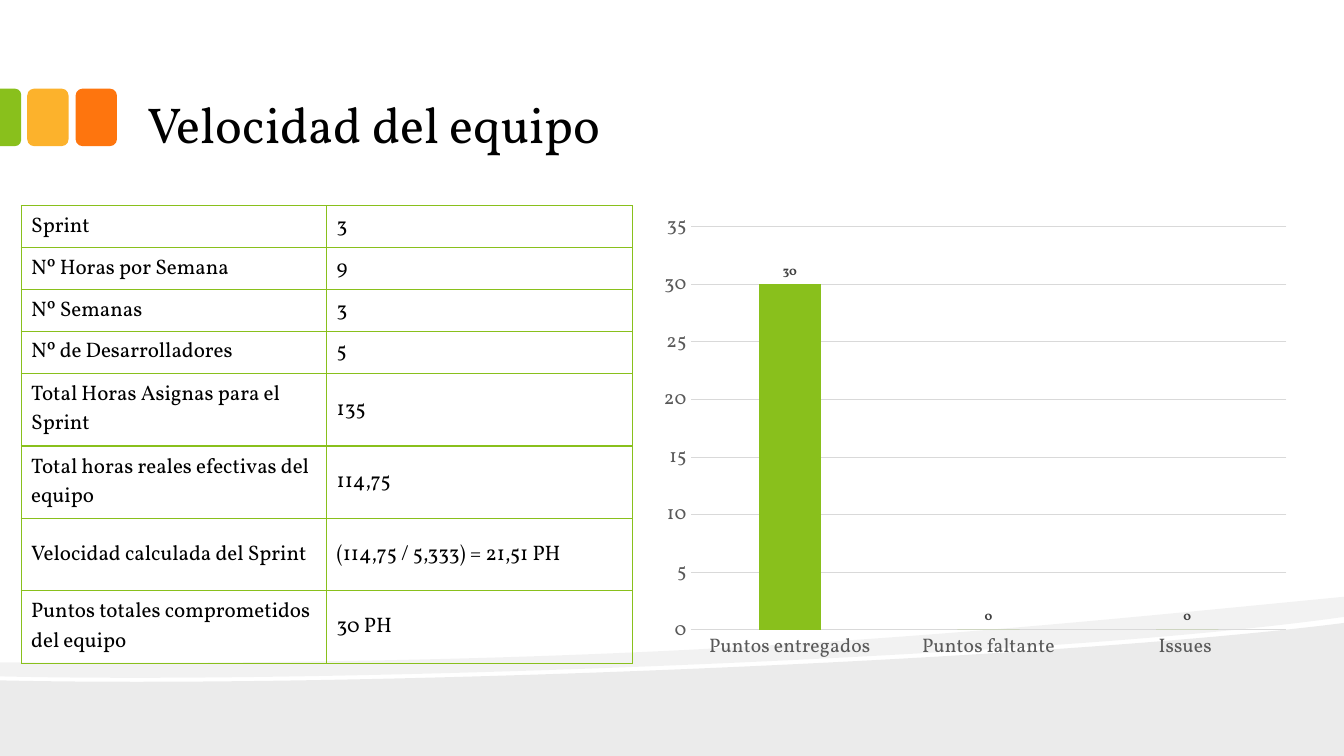
import pptx
import pptx.chart.data
import pptx.dml.color
import pptx.enum.chart
import pptx.enum.shapes
import pptx.enum.text
import pptx.oxml
import pptx.oxml.ns
import pptx.util
from lxml import etree

RGBColor = pptx.dml.color.RGBColor
Inches = pptx.util.Inches
Pt = pptx.util.Pt
Shape = pptx.enum.shapes.MSO_SHAPE
Anchor = pptx.enum.text.MSO_ANCHOR
qn = pptx.oxml.ns.qn

BLACK = RGBColor(0x00, 0x00, 0x00)
GREEN = RGBColor(0x89, 0xC0, 0x1C)
YELLOW = RGBColor(0xFC, 0xB2, 0x2C)
ORANGE = RGBColor(0xFE, 0x75, 0x0E)
AXIS_TEXT = RGBColor(0x59, 0x59, 0x59)
LABEL_TEXT = RGBColor(0x40, 0x40, 0x40)
GRID = RGBColor(0xD9, 0xD9, 0xD9)

UNITS_PER_INCH = 100
SPRINT_FACTS = [
    ("Sprint", "3"),
    ("Nº Horas por Semana", "9"),
    ("Nº Semanas", "3"),
    ("Nº de Desarrolladores", "5"),
    ("Total Horas Asignas para el Sprint", "135"),
    ("Total horas reales efectivas del equipo", "114,75"),
    ("Velocidad calculada del Sprint", "(114,75 / 5,333) = 21,51 PH"),
    ("Puntos totales comprometidos del equipo", "30 PH"),
]
SHORT_ROWS = 4
POINTS = {"Puntos entregados": 30, "Puntos faltante": 0, "Issues ": 0}


def apply(target, **values):
    for name, value in values.items():
        setattr(target, name, value)


class SlideBuilder:
    """Draws styled elements on one slide."""

    font_name = "Vollkorn"

    def __init__(self, presentation):
        self.slide = presentation.slides.add_slide(presentation.slide_layouts[6])

    def style_font(self, font, size, color, bold=False):
        apply(font, name=self.font_name, size=Pt(size), bold=bold)
        font.color.rgb = color

    def paint(self, shape, color, opacity=100):
        shape.shadow.inherit = False
        shape.fill.solid()
        shape.fill.fore_color.rgb = color
        shape.line.fill.background()
        if opacity < 100:
            tint = shape.fill._xPr.find(".//" + qn("a:srgbClr"))
            etree.SubElement(tint, qn("a:alpha"), val=str(opacity * 1000))

    def wave(self, start, segments, opacity):
        start, *segments = [
            [(round(x * UNITS_PER_INCH), round(y * UNITS_PER_INCH)) for x, y in segment]
            for segment in ([start], *segments)]
        corners = start + [segment[-1] for segment in segments]
        left, top = (min(values) for values in zip(*corners))
        outline = self.slide.shapes.build_freeform(
            *corners[0], scale=Inches(1) / UNITS_PER_INCH)
        outline.add_line_segments(corners[1:], close=True)
        shape = outline.convert_to_shape()
        for line, segment in zip(list(shape._element.iter(qn("a:lnTo"))), segments):
            if len(segment) == 3:
                curve = etree.Element(qn("a:cubicBezTo"))
                for x, y in segment:
                    etree.SubElement(curve, qn("a:pt"), x=str(x - left), y=str(y - top))
                line.getparent().replace(line, curve)
        self.paint(shape, BLACK, opacity)

    def tab(self, kind, box, color, rotation=0, adjustments=()):
        tab = self.slide.shapes.add_shape(kind, *map(Inches, box))
        tab.rotation = rotation
        for index, value in enumerate(adjustments):
            tab.adjustments[index] = value
        self.paint(tab, color)

    def title(self, text, box):
        frame = self.slide.shapes.add_textbox(*map(Inches, box)).text_frame
        apply(frame, word_wrap=True, vertical_anchor=Anchor.BOTTOM,
              margin_left=Inches(0.13), margin_right=Inches(0.13),
              margin_top=Inches(0.07), margin_bottom=Inches(0.07))
        run = frame.paragraphs[0].add_run()
        run.text = text
        self.style_font(run.font, 36, BLACK)

    def border(self, cell):
        properties = cell._tc.get_or_add_tcPr()
        for position, side in enumerate(("a:lnL", "a:lnR", "a:lnT", "a:lnB")):
            edge = etree.Element(qn(side), w=str(Pt(1)))
            fill = etree.SubElement(edge, qn("a:solidFill"))
            etree.SubElement(fill, qn("a:srgbClr"), val=str(GREEN))
            properties.insert(position, edge)

    def table(self, rows, box, heights):
        table = self.slide.shapes.add_table(len(rows), 2, *map(Inches, box)).table
        apply(table, first_row=False, horz_banding=False)
        for row, height, texts in zip(table.rows, heights, rows):
            row.height = Pt(height)
            for cell, text in zip(row.cells, texts):
                apply(cell, text=text, vertical_anchor=Anchor.MIDDLE)
                cell.fill.background()
                self.style_font(cell.text_frame.paragraphs[0].runs[0].font, 15, BLACK)
                self.border(cell)

    def column_chart(self, points, box, plot_box):
        enums = pptx.enum.chart
        data = pptx.chart.data.CategoryChartData()
        data.categories = list(points)
        data.add_series("Series 1", list(points.values()))
        chart = self.slide.shapes.add_chart(
            enums.XL_CHART_TYPE.COLUMN_CLUSTERED, *map(Inches, box), data).chart
        apply(chart, has_legend=False, has_title=False)
        self.style_font(chart.font, 10, BLACK)
        for axis in (chart.category_axis, chart.value_axis):
            apply(axis, major_tick_mark=enums.XL_TICK_MARK.NONE,
                  minor_tick_mark=enums.XL_TICK_MARK.NONE)
            self.style_font(axis.tick_labels.font, 14, AXIS_TEXT)
        apply(chart.value_axis, minimum_scale=0, maximum_scale=35, major_unit=5)
        chart.value_axis.format.line.fill.background()
        for line in (chart.category_axis.format.line,
                     chart.value_axis.major_gridlines.format.line):
            line.color.rgb = GRID
            line.width = Pt(0.75)
        plot = chart.plots[0]
        apply(plot, gap_width=219, overlap=-27, vary_by_categories=False)
        series = plot.series[0]
        series.format.fill.solid()
        series.format.fill.fore_color.rgb = GREEN
        labels = series.data_labels
        apply(labels, show_value=True, position=enums.XL_LABEL_POSITION.OUTSIDE_END)
        self.style_font(labels.font, 9, LABEL_TEXT, bold=True)
        sizes = box[2:] * 2
        self.place_plot(chart, [part / size for part, size in zip(plot_box, sizes)])

    def place_plot(self, chart, fractions):
        area = chart._chartSpace.find(".//" + qn("c:plotArea"))
        for old in area.findall(qn("c:layout")):
            area.remove(old)
        layout = etree.Element(qn("c:layout"))
        area.insert(0, layout)
        manual = etree.SubElement(layout, qn("c:manualLayout"))
        settings = {"layoutTarget": "inner", "xMode": "edge", "yMode": "edge"}
        settings.update(zip("xywh", map(str, fractions)))
        for name, value in settings.items():
            etree.SubElement(manual, qn("c:" + name), val=value)


def main():
    presentation = pptx.Presentation()
    apply(presentation, slide_width=Inches(13.33), slide_height=Inches(7.5))
    builder = SlideBuilder(presentation)

    builder.wave((13.33, 6.18), [
        [(13.33, 7.5)], [(0, 7.5)], [(0, 6.75)],
        [(3.52, 6.83), (10.42, 6.55), (13.33, 6.18)]], 8)
    builder.wave((13.33, 5.92), [
        [(13.33, 6.12)],
        [(12.55, 6.23), (11.49, 6.33), (10.29, 6.41)],
        [(6.98, 6.63), (2.58, 6.77), (0, 6.71)],
        [(0, 6.57)],
        [(6.52, 6.62), (9.71, 6.27), (13.33, 5.92)]], 5)

    for left, color in ((0.75, ORANGE), (0.27, YELLOW)):
        builder.tab(Shape.ROUNDED_RECTANGLE, (left, 0.88, 0.41, 0.57), color)
    builder.tab(Shape.ROUND_2_SAME_RECTANGLE, (-0.18, 1.06, 0.57, 0.21), GREEN,
                rotation=90, adjustments=(0.29, 0))

    builder.title("Velocidad del equipo", (1.33, 0.17, 10.66, 1.42))
    heights = [30 if row < SHORT_ROWS else 51.75 for row in range(len(SPRINT_FACTS))]
    builder.table(SPRINT_FACTS, (0.21, 2.04, 6.06, 4.54), heights)
    builder.column_chart(POINTS, (6.51, 1.86, 6.54, 5.24), (0.34, 0.39, 5.91, 4))
    presentation.save("out.pptx")


if __name__ == "__main__":
    main()
